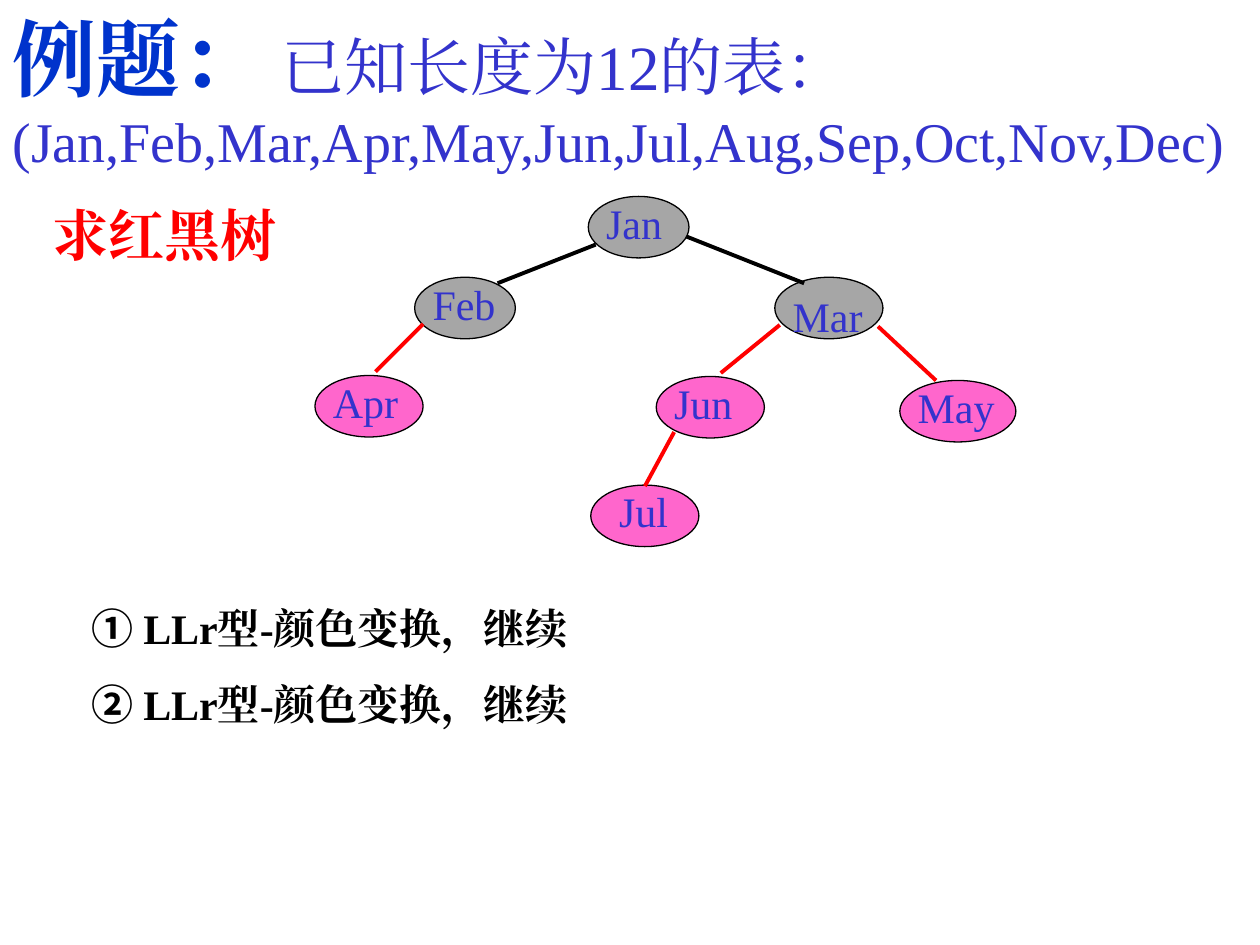
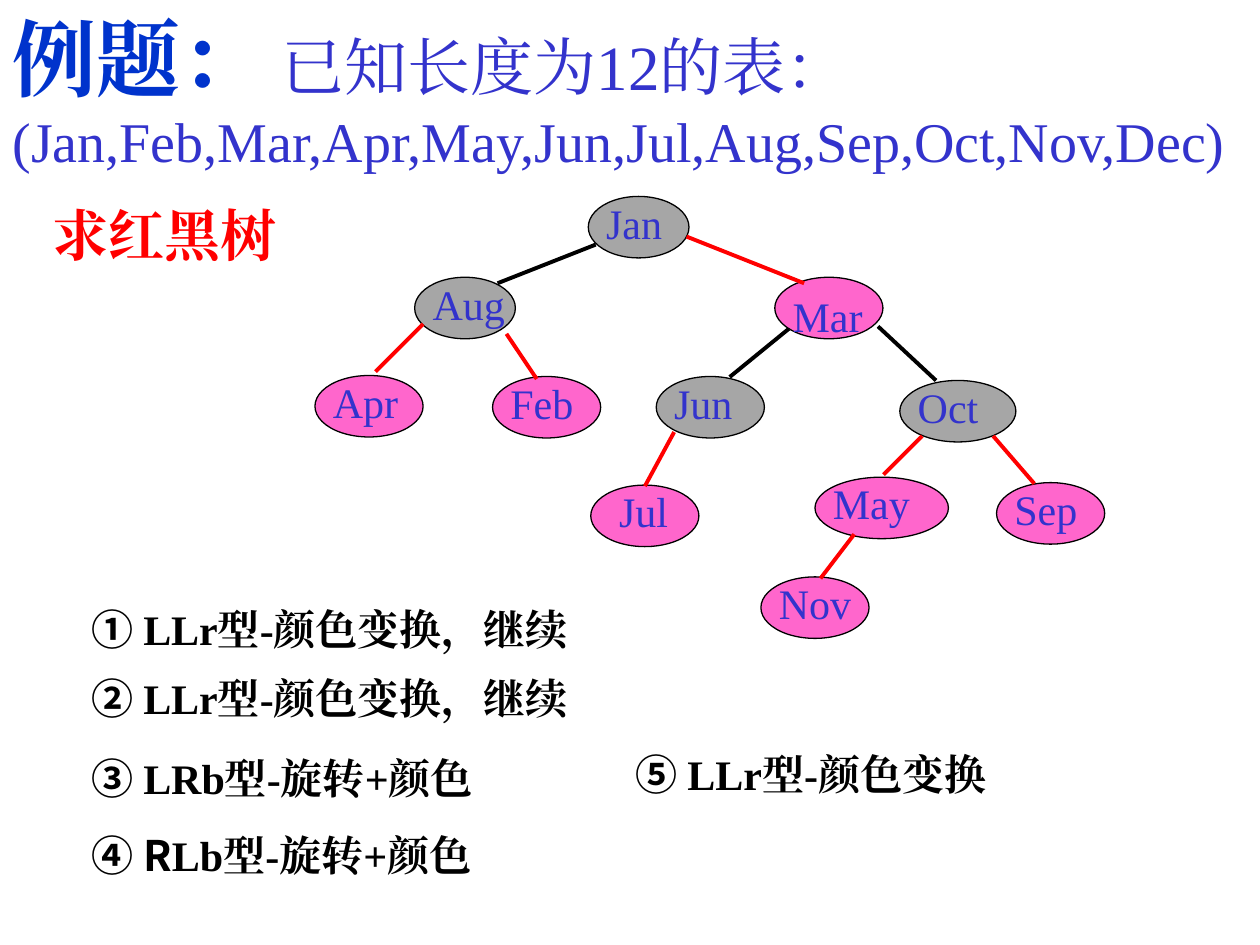
from lxml.etree import SubElement
from pptx import Presentation
from pptx.dml.color import RGBColor
from pptx.enum.shapes import MSO_CONNECTOR, MSO_SHAPE
from pptx.oxml.ns import qn
from pptx.util import Cm, Pt

BLACK = RGBColor(0x00, 0x00, 0x00)
RED = RGBColor(0xFF, 0x00, 0x00)
GREY = RGBColor(0xA6, 0xA6, 0xA6)
PINK = RGBColor(0xFF, 0x66, 0xCC)
TITLE_BLUE = RGBColor(0x00, 0x33, 0xCC)
TEXT_BLUE = RGBColor(0x33, 0x33, 0xCC)
SERIF = "Times New Roman"
SANS = "Noto Sans CJK SC"

NODE_HEIGHT = 1.24
# Slots of the tree, named by the path from the root: left, top, width (cm)
SLOTS = {
    "root": (5.51, 0, 2.03),
    "L": (2.01, 1.63, 2.03),
    "R": (9.27, 1.63, 2.18),
    "LL": (0, 3.61, 2.18),
    "LR": (3.58, 3.63, 2.18),
    "RL": (6.88, 3.63, 2.18),
    "RR": (11.79, 3.71, 2.34),
    "RLL": (5.56, 5.82, 2.18),
    "RRL": (10.08, 5.66, 2.69),
    "RRR": (13.74, 5.77, 2.18),
    "RRLL": (8.99, 7.67, 2.18),
}
# Link from the parent down to each slot: x1, y1, x2, y2 (cm)
LINKS = {
    "L": (5.66, 0.97, 3.68, 1.75),
    "R": (7.49, 0.81, 9.86, 1.75),
    "LL": (2.18, 2.57, 1.22, 3.53),
    "LR": (3.86, 2.77, 4.47, 3.68),
    "RL": (9.37, 2.59, 8.18, 3.56),
    "RR": (11.35, 2.62, 12.52, 3.71),
    "RLL": (7.24, 4.75, 6.65, 5.84),
    "RRL": (12.24, 4.83, 11.46, 5.61),
    "RRR": (13.67, 4.83, 14.5, 5.79),
    "RRLL": (10.87, 6.81, 10.19, 7.7),
}
TEXT_SHIFT = {"R": 0.15}  # this label sits low in its node


def add_span(para, text, size=24, color=BLACK, bold=False, font=SERIF):
    span = para.add_run()
    span.text = text
    span.font.size = Pt(size)
    span.font.bold = bold
    span.font.name = font
    span.font.color.rgb = color
    SubElement(span.font._element, qn("a:ea")).set("typeface", font)


def add_text(page, left, top, width, height, *lines):
    """Each line is a list of (text, format) spans."""
    box = page.shapes.add_textbox(Cm(left), Cm(top), Cm(width), Cm(height))
    frame = box.text_frame
    frame.word_wrap = True
    for index, line in enumerate(lines):
        para = frame.add_paragraph() if index else frame.paragraphs[0]
        for text, style in line:
            add_span(para, text, **style)


def add_link(page, x1, y1, x2, y2, color):
    link = page.shapes.add_connector(
        MSO_CONNECTOR.STRAIGHT, Cm(x1), Cm(y1), Cm(x2), Cm(y2))
    link.line.color.rgb = color
    link.line.width = Pt(2.25)
    SubElement(link._element.spPr, qn("a:effectLst"))


def add_node(page, left, top, width, label, fill, text_shift):
    node = page.shapes.add_shape(
        MSO_SHAPE.OVAL, Cm(left), Cm(top), Cm(width), Cm(NODE_HEIGHT))
    node.shadow.inherit = False
    node.fill.solid()
    node.fill.fore_color.rgb = fill
    node.line.color.rgb = BLACK
    node.line.width = Pt(0.75)
    add_text(page, left + 0.11, top + text_shift, width, 1.27,
             [(label, dict(color=TEXT_BLUE))])


def draw_heading(page, left, top, width):
    add_text(page, left, top, width, 3.63,
             [("例题：", dict(size=48, color=TITLE_BLUE, bold=True)),
              (" ", dict(size=40)),
              ("已知长度为12的表：", dict(size=36, color=TEXT_BLUE))],
             [("(Jan,Feb,Mar,Apr,May,Jun,Jul,Aug,Sep,Oct,Nov,Dec)",
               dict(size=32, color=TEXT_BLUE))])
    add_text(page, left + 0.8, top + 3.91, 9.2, 1.6,
             [("求红黑树", dict(size=32, color=RED, bold=True))])


def draw_tree(page, left, top, nodes, red, link_shifts):
    """Red nodes are pink and hang on red links; the others are grey."""
    for slot, label in nodes.items():
        x, y, width = SLOTS[slot]
        add_node(page, left + x, top + y, width, label,
                 PINK if slot in red else GREY, TEXT_SHIFT.get(slot, -0.11))
    for slot in nodes:
        if slot in LINKS:
            x1, y1, x2, y2 = LINKS[slot]
            dx, dy = link_shifts.get(slot, (0, 0))
            add_link(page, left + x1 + dx, top + y1 + dy, left + x2 + dx,
                     top + y2 + dy, RED if slot in red else BLACK)


def draw_notes(page, left, top, notes):
    """Each note is x, y, sans-serif mark, serif text."""
    for x, y, mark, text in notes:
        add_text(page, left + x, top + y, 11.5, 1.27,
                 [(mark, dict(bold=True, font=SANS)),
                  (text, dict(bold=True))])


def build_slide(deck, nodes, red, notes, link_shifts={}):
    page = deck.slides.add_slide(deck.slide_layouts[6])
    draw_heading(page, 0, 0, 25.4)
    draw_tree(page, 6.35, 3.96, nodes, red, link_shifts)
    draw_notes(page, 1.6, 12.02, notes)


deck = Presentation()
deck.slide_width, deck.slide_height = Cm(25.4), Cm(19.05)

# Slide 1: the first seven months
build_slide(
    deck,
    {"root": "Jan", "L": "Feb", "R": "Mar", "LL": "Apr", "RL": "Jun",
     "RR": "May", "RLL": " Jul"},
    {"LL", "RL", "RR", "RLL"},
    [(0, 0, "① ", "LLr型-颜色变换，继续"),
     (0, 1.54, "② ", "LLr型-颜色变换，继续")])

# Slide 2: eleven months
build_slide(
    deck,
    {"root": "Jan", "L": "Aug", "R": "Mar", "LL": "Apr", "LR": "Feb",
     "RL": "Jun", "RR": "Oct", "RLL": " Jul", "RRL": "May", "RRR": "Sep",
     "RRLL": "Nov"},
    {"R", "LL", "LR", "RLL", "RRL", "RRR", "RRLL"},
    [(0, 0.02, "① ", "LLr型-颜色变换，继续"),
     (0, 1.42, "② ", "LLr型-颜色变换，继续"),
     (0, 3.02, "③ ", "LRb型-旋转+颜色"),
     (0, 4.57, "④ R", "Lb型-旋转+颜色"),
     (10.97, 2.94, "⑤ ", "LLr型-颜色变换")],
    link_shifts={"RL": (0.18, 0.08)})

deck.save("out.pptx")
